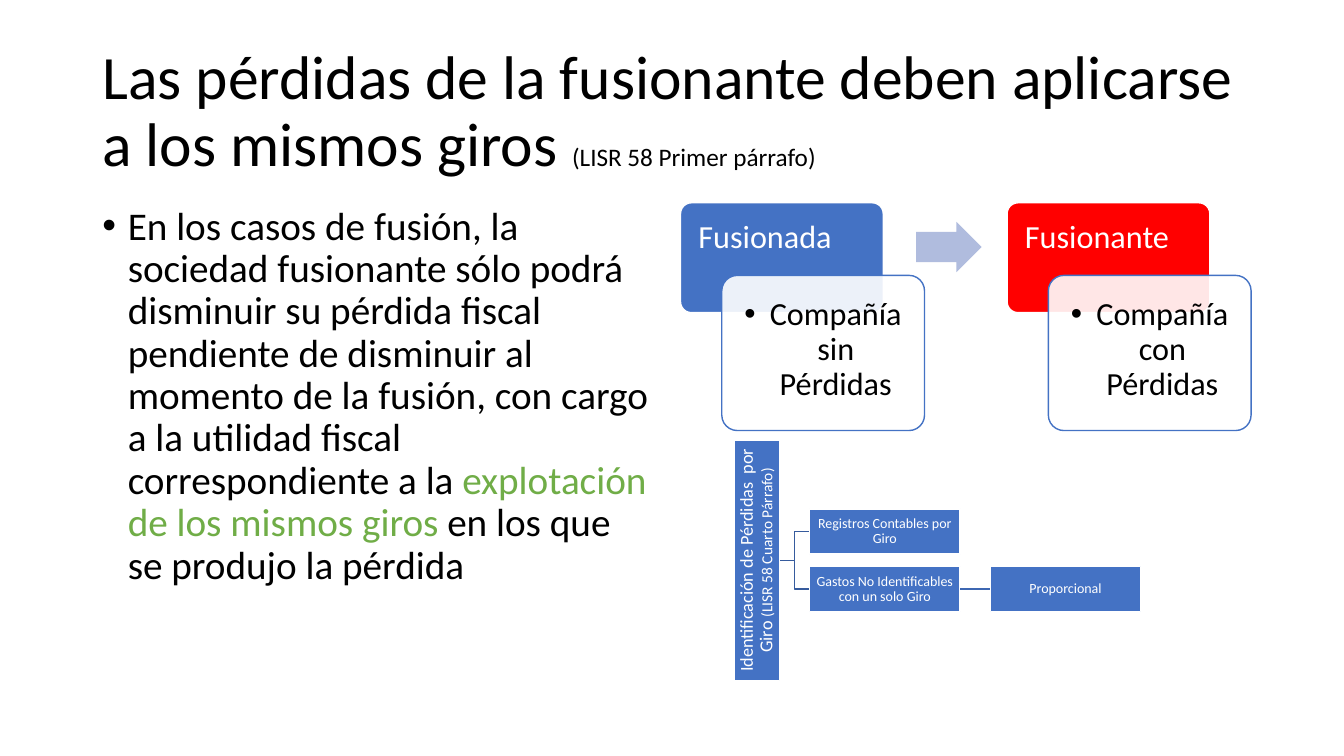
import pptx
import pptx.dml.color
import pptx.enum.shapes
import pptx.enum.text
import pptx.oxml
import pptx.oxml.ns
import pptx.util
from lxml import etree

Cm, Pt = pptx.util.Cm, pptx.util.Pt
RGBColor = pptx.dml.color.RGBColor
Preset = pptx.enum.shapes.MSO_SHAPE
Align = pptx.enum.text.PP_ALIGN
Anchor = pptx.enum.text.MSO_ANCHOR
qn = pptx.oxml.ns.qn

BLACK = RGBColor(0x00, 0x00, 0x00)
WHITE = RGBColor(0xFF, 0xFF, 0xFF)
BLUE = RGBColor(0x44, 0x72, 0xC4)
RED = RGBColor(0xFF, 0x00, 0x00)
GREEN = RGBColor(0x70, 0xAD, 0x47)
PALE_BLUE = RGBColor(0xB0, 0xBC, 0xDE)
BRANCH_BLUE = RGBColor(0x36, 0x5B, 0x9D)
LEAF_BLUE = RGBColor(0x3E, 0x67, 0xB2)


def apply(target, formats):
    """Set each attribute of the target from a dict of format values."""
    for attribute, value in formats.items():
        setattr(target, attribute, value)


def write(holder, runs, align, anchor, margins, bullet=False):
    """Write one paragraph of (text, size, colour) runs into a shape."""
    frame = holder.text_frame
    left, top, right, bottom = (Cm(margin) for margin in margins)
    apply(frame, {
        "word_wrap": True,
        "auto_size": pptx.enum.text.MSO_AUTO_SIZE.NONE,
        "vertical_anchor": anchor,
        "margin_left": left,
        "margin_top": top,
        "margin_right": right,
        "margin_bottom": bottom,
    })
    paragraph = frame.paragraphs[0]
    apply(paragraph, {"alignment": align, "line_spacing": 0.9, "space_before": Pt(0)})
    if bullet:
        properties = paragraph._p.get_or_add_pPr()
        properties.set("marL", str(Cm(0.64)))
        properties.set("indent", str(-Cm(0.64)))
        etree.SubElement(properties, qn("a:buFont")).set("typeface", "Arial")
        etree.SubElement(properties, qn("a:buChar")).set("char", "•")
    for text, size, colour in runs:
        run = paragraph.add_run()
        run.text = text
        apply(run.font, {"name": "Calibri", "size": Pt(size)})
        run.font.color.rgb = colour


def add_block(slide, preset, box, fill, line=None, adjustments=()):
    """Add a filled preset shape in a box given in centimetres."""
    block = slide.shapes.add_shape(preset, *(Cm(length) for length in box))
    block.shadow.inherit = False
    block.fill.solid()
    block.fill.fore_color.rgb = fill
    if line is None:
        block.line.fill.background()
    else:
        block.line.color.rgb = line
        block.line.width = Pt(1)
    for index, value in enumerate(adjustments):
        block.adjustments[index] = value
    return block


def place_text(placeholder, box, runs, anchor, bullet=False):
    """Move a template placeholder into its box and fill it with text."""
    apply(placeholder, dict(zip(("left", "top", "width", "height"), map(Cm, box))))
    write(placeholder, runs, Align.LEFT, anchor, (0.25, 0.13, 0.25, 0.13), bullet)


def add_company(slide, box, heading, description, colour):
    """Place a coloured heading card with an overlapping description panel."""
    left, top, width, height = box
    card_width = width - 1.04
    card = add_block(slide, Preset.ROUNDED_RECTANGLE, (left, top, card_width, 2.77),
                     colour, WHITE, [0.1])
    write(card, [(heading, 23, WHITE)], Align.LEFT, Anchor.TOP, (0.37, 0.37, 0.37, 0.25))
    panel = add_block(slide, Preset.ROUNDED_RECTANGLE,
                      (left + 1.04, top + 1.83, card_width, height - 1.83),
                      WHITE, BLUE, [0.1])
    fill_colour = panel._element.spPr.find(qn("a:solidFill"))[0]
    etree.SubElement(fill_colour, qn("a:alpha")).set("val", "90000")
    write(panel, [(description, 23, BLACK)], Align.CENTER, Anchor.TOP, (0.45,) * 4, True)


def add_merger(slide, box):
    """Place the two companies and the arrow between them."""
    left, top, width, height = box
    company_width = 6.15
    pitch = width - company_width
    add_company(slide, (left, top, company_width, height),
                "Fusionada", "Compañía sin Pérdidas", BLUE)
    add_block(slide, Preset.RIGHT_ARROW, (left + 5.94, top + 0.48, 1.65, 1.27),
              PALE_BLUE, adjustments=[0.6, 0.5])
    add_company(slide, (left + pitch, top, company_width, height),
                "Fusionante", "Compañía con Pérdidas", RED)


def add_branch(slide, start, end):
    """Draw an elbow line from the root to a child of the tree."""
    (x, y), (end_x, end_y) = start, end
    middle = (x + end_x) / 2
    builder = slide.shapes.build_freeform(Cm(x), Cm(y))
    corners = [(middle, y), (middle, end_y), end]
    builder.add_line_segments([(Cm(a), Cm(b)) for a, b in corners], close=False)
    branch = builder.convert_to_shape()
    branch.shadow.inherit = False
    branch.fill.background()
    branch.line.color.rgb = BRANCH_BLUE
    branch.line.width = Pt(1)


def add_node(slide, box, runs):
    """Place one blue box of the tree with centred text."""
    node = add_block(slide, Preset.RECTANGLE, box, BLUE, WHITE)
    write(node, runs, Align.CENTER, Anchor.MIDDLE, (0.03,) * 4)
    return node


def add_loss_tree(slide, box):
    """Place the tree that identifies losses by line of business."""
    left, top, width, height = box
    thickness, gap, row_pitch = 1.14, 0.76, 1.45
    node_width = (width - thickness - 2 * gap) / 2
    middle = top + height / 2
    children_left = left + thickness + gap
    rows = [middle - row_pitch / 2, middle + row_pitch / 2]
    for row in rows:
        add_branch(slide, (left + thickness, middle), (children_left, row))

    root = add_node(
        slide,
        (left + (thickness - height) / 2, middle - thickness / 2, height, thickness),
        [("Identificación de Pérdidas  por Giro ", 13, WHITE),
         ("(LISR 58 Cuarto Párrafo)", 11, WHITE)])
    root.rotation = 270
    records, expenses, proportional = (
        add_node(slide, (children_left + column * (node_width + gap),
                         rows[row] - thickness / 2, node_width, thickness),
                 [(text, 10, WHITE)])
        for column, row, text in [
            (0, 0, "Registros Contables por Giro"),
            (0, 1, "Gastos No Identificables con un solo Giro"),
            (1, 1, "Proporcional"),
        ])
    link = slide.shapes.add_connector(pptx.enum.shapes.MSO_CONNECTOR.STRAIGHT, 0, 0, 0, 0)
    link.begin_connect(expenses, 3)
    link.end_connect(proportional, 1)
    link.line.color.rgb = LEAF_BLUE
    link.line.width = Pt(1)
    etree.SubElement(link._element.spPr, qn("a:effectLst"))


def main():
    """Build the slide and save the presentation."""
    presentation = pptx.Presentation()
    apply(presentation, {"slide_width": Cm(33.87), "slide_height": Cm(19.05)})
    slide = presentation.slides.add_slide(presentation.slide_layouts[1])
    title, body = slide.placeholders
    place_text(title, (2.33, 1.01, 29.21, 3.68), [
        ("Las pérdidas de la fusionante deben aplicarse a los mismos giros ", 44, BLACK),
        ("(LISR 58 Primer párrafo)", 18, BLACK),
    ], Anchor.MIDDLE)
    place_text(body, (2.33, 5.07, 14.4, 12.09), [
        ("En los casos de fusión, la sociedad fusionante sólo podrá disminuir su "
         "pérdida fiscal pendiente de disminuir al momento de la fusión, con cargo "
         "a la utilidad fiscal correspondiente a la ", 28, BLACK),
        ("explotación de los mismos giros ", 28, GREEN),
        ("en los que se produjo la pérdida", 28, BLACK),
    ], Anchor.TOP, True)
    add_merger(slide, (17.15, 5.11, 14.38, 5.74))
    add_loss_tree(slide, (18.5, 11.09, 10.25, 6.06))
    presentation.save("out.pptx")


if __name__ == "__main__":
    main()
